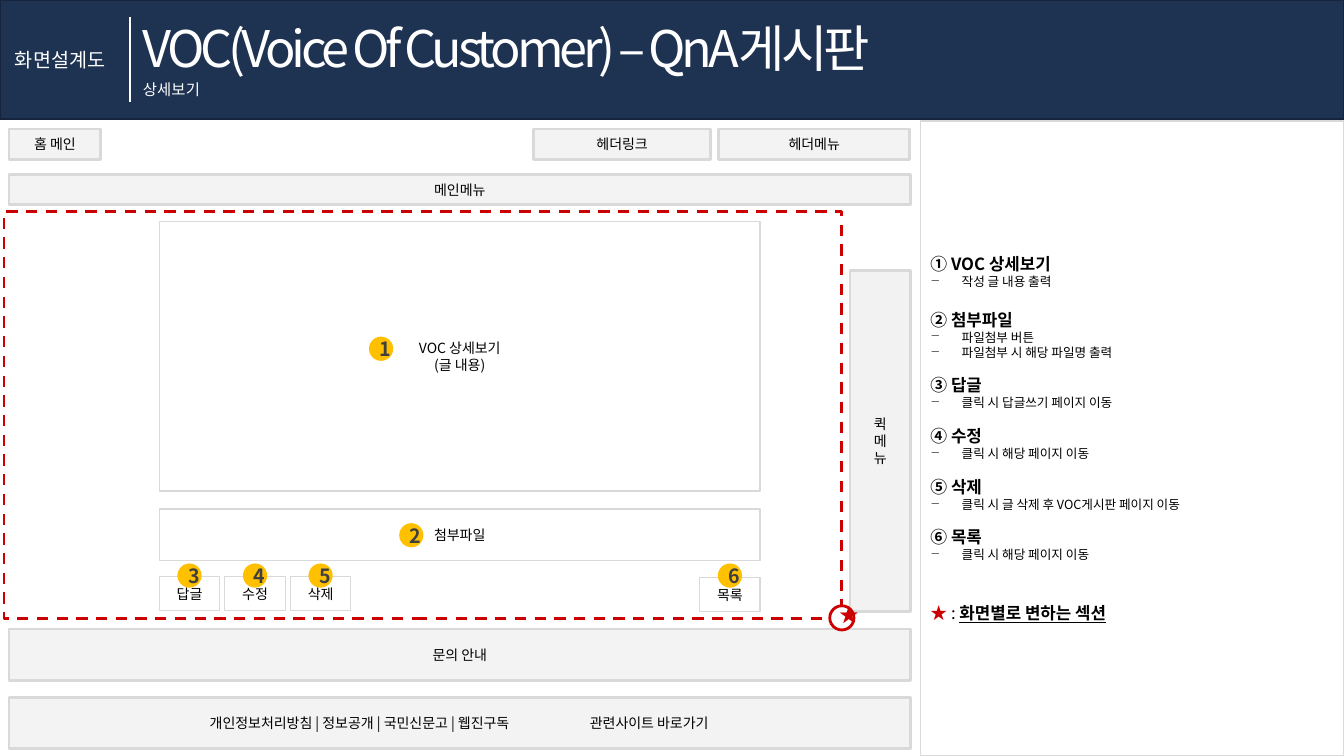
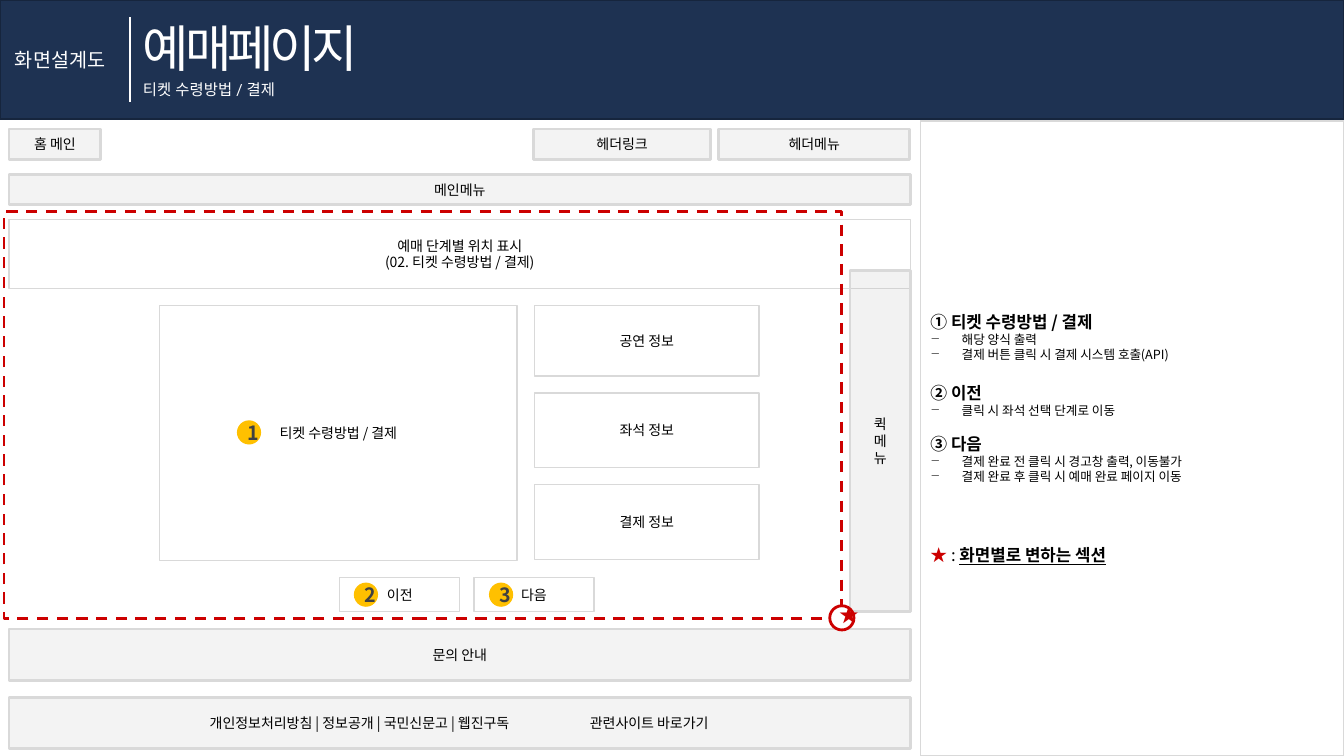
import pptx
import pptx.dml.color
import pptx.enum.dml
import pptx.enum.shapes
import pptx.enum.text
import pptx.oxml.ns
import pptx.util
from lxml import etree

Inches = pptx.util.Inches
Pt = pptx.util.Pt
SHAPES = pptx.enum.shapes.MSO_SHAPE
ALIGN = pptx.enum.text.PP_ALIGN
MIDDLE = pptx.enum.text.MSO_ANCHOR.MIDDLE

MAIN_FONT, SUBTITLE_FONT = "Noto Sans CJK KR", "Roboto"
NAVY, NAVY_EDGE, WHITE, BLACK = "1E3252", "16253D", "FFFFFF", "000000"
GREY, QUICK_GREY, RED, AMBER, DARK = "D9D9D9", "BFBFBF", "CC0000", "FFC000", "404040"
LINE_RATIO = 1.2
BULLET_INDENT = 0.31
BADGE = 0.24

BLOCK_LEFT, BLOCK_WIDTH = 1.58, 5.96
SIDE_LEFT, SIDE_WIDTH = 5.3, 2.23


def rgb(value):
    return pptx.dml.color.RGBColor.from_string(value)


def sub_element(parent, tag, **attributes):
    return etree.SubElement(parent, pptx.oxml.ns.qn(tag), **attributes)


def add_span(para, text, size, color=BLACK, font=MAIN_FONT, spacing=None, **formats):
    span = para.add_run()
    span.text = text
    for name, value in {"name": font, "size": Pt(size), **formats}.items():
        setattr(span.font, name, value)
    span.font.color.rgb = rgb(color)
    properties = span.font._element
    if spacing is not None:
        properties.set("spc", str(spacing * 100))
    sub_element(properties, "a:ea", typeface=font)


def next_para(frame, size, gap=0):
    """Start a paragraph with tight lines, reusing the empty first one."""
    first = frame.paragraphs[0]
    para = frame.add_paragraph() if first.runs else first
    para.line_spacing = Pt(round(size * LINE_RATIO, 1))
    if gap:
        para.space_before = Pt(gap)
    return para


def write(shape, text, size=10, align=ALIGN.CENTER, **formats):
    frame = shape.text_frame
    frame.word_wrap = True
    frame.vertical_anchor = MIDDLE
    lines = text.split("\n")
    for line in lines:
        para = next_para(frame, size) if len(lines) > 1 else frame.paragraphs[0]
        para.alignment = align
        add_span(para, line, size, **formats)


def add_text(page, text, left, top, width, height, **formats):
    box = page.shapes.add_textbox(*map(Inches, (left, top, width, height)))
    write(box, text, **formats)


def add_box(page, left, top, width, height, fill=WHITE, line=GREY, weight=1,
            opacity=None, kind=SHAPES.RECTANGLE):
    shape = page.shapes.add_shape(kind, *map(Inches, (left, top, width, height)))
    shape.shadow.inherit = False
    if fill:
        shape.fill.solid()
        shape.fill.fore_color.rgb = rgb(fill)
    else:
        shape.fill.background()
    if opacity:
        color = shape._element.spPr.find(".//" + pptx.oxml.ns.qn("a:srgbClr"))
        sub_element(color, "a:alpha", val=str(opacity * 1000))
    if line:
        shape.line.color.rgb = rgb(line)
        shape.line.width = Pt(weight)
    else:
        shape.line.fill.background()
    return shape


def add_block(page, text, *area):
    """White content block of the wireframe."""
    write(add_box(page, *area), text)


def add_bar(page, text, *area, fill=GREY, opacity=30):
    """Shaded block that belongs to the common site layout."""
    bar = add_box(page, *area, fill=fill, opacity=opacity, weight=2)
    if text:
        write(bar, text)
    return bar


def add_badge(page, number, left, top):
    badge = add_box(page, left, top, BADGE, BADGE, fill=AMBER, line=None,
                    kind=SHAPES.OVAL)
    write(badge, str(number), size=14, color=DARK, bold=True)


def add_header(page, title, subtitle):
    add_box(page, 0, 0, 13.33, 1.18, fill=NAVY, line=NAVY_EDGE)
    left = {"align": ALIGN.LEFT, "color": WHITE}
    add_text(page, title, 1.32, 0.11, 11, 0.71, size=36, spacing=-3, **left)
    add_text(page, "화면설계도", 0.05, 0.42, 1.18, 0.34, size=14, **left)
    add_text(page, subtitle, 1.32, 0.74, 5, 0.29, size=11, font=SUBTITLE_FONT, **left)
    divider = page.shapes.add_connector(
        pptx.enum.shapes.MSO_CONNECTOR.STRAIGHT,
        *map(Inches, (1.29, 0.17, 1.29, 1.01)))
    divider.line.color.rgb = rgb(WHITE)
    divider.line.width = Pt(1.5)
    sub_element(divider._element.spPr, "a:effectLst")


def add_site_footer(page):
    footer = add_bar(page, None, 0.09, 6.92, 8.94, 0.51)
    footer.text_frame.margin_left = Inches(1.99)
    para = footer.text_frame.paragraphs[0]
    tabs = sub_element(para._p.get_or_add_pPr(), "a:tabLst")
    sub_element(tabs, "a:tab", pos=str(Inches(3.77)), algn="l")
    write(footer, "개인정보처리방침 | 정보공개 | 국민신문고 | 웹진구독\t관련사이트 바로가기",
          align=ALIGN.LEFT)


def add_site_layout(page):
    for text, *area in (
        ("메인메뉴", 0.09, 1.73, 8.94, 0.3),
        ("홈 메인", 0.09, 1.28, 0.91, 0.3),
        ("헤더메뉴", 7.13, 1.28, 1.89, 0.3),
        ("헤더링크", 5.29, 1.28, 1.76, 0.3),
        ("문의 안내", 0.09, 6.24, 8.94, 0.51),
    ):
        add_bar(page, text, *area)
    add_site_footer(page)
    add_bar(page, "퀵\n메\n뉴", 8.43, 2.68, 0.6, 3.39, fill=QUICK_GREY, opacity=20)


def add_section_marker(page):
    """Dashed outline and star around the part that changes by screen."""
    outline = add_box(page, 0.04, 2.1, 8.31, 4.04, fill=None, line=RED, weight=2)
    outline.line.dash_style = pptx.enum.dml.MSO_LINE.DASH
    add_box(page, 8.23, 6.01, BADGE, BADGE, line=RED, weight=2, kind=SHAPES.OVAL)
    add_text(page, "★", 8.23, 5.93, BADGE, 0.34, size=14, color=RED)


def add_bullet(frame, text):
    para = next_para(frame, 9)
    properties = para._p.get_or_add_pPr()
    properties.set("marL", str(Inches(BULLET_INDENT)))
    properties.set("indent", str(-Inches(BULLET_INDENT)))
    sub_element(properties, "a:buChar", char="−")
    add_span(para, text, 9)


def add_notes_panel(page, notes, legend_gap):
    """notes: (gap above, heading, bullet lines) for each numbered part."""
    panel = add_box(page, 9.13, 1.2, 4.2, 6.3)
    frame = panel.text_frame
    frame.word_wrap = True
    frame.vertical_anchor = MIDDLE
    for gap, heading, bullets in notes:
        para = next_para(frame, 12, gap)
        add_span(para, heading, 12, bold=True)
        para.alignment = ALIGN.LEFT
        for text in bullets:
            add_bullet(frame, text)
    for para in frame.paragraphs:
        para.alignment = ALIGN.LEFT
    legend = next_para(frame, 12, legend_gap)
    legend.alignment = ALIGN.LEFT
    add_span(legend, "★ ", 12, color=RED, bold=True)
    add_span(legend, ": ", 12)
    add_span(legend, "화면별로 변하는 섹션", 12, bold=True, underline=True)


def build_page(deck, title, subtitle, blocks, badges, notes, legend_gap):
    page = deck.slides.add_slide(deck.slide_layouts[6])
    add_header(page, title, subtitle)
    for block in blocks:
        add_block(page, *block)
    add_site_layout(page)
    add_section_marker(page)
    add_notes_panel(page, notes, legend_gap)
    for number, (left, top) in enumerate(badges, 1):
        add_badge(page, number, left, top)


def build_voc_page(deck):
    button_lefts = [BLOCK_LEFT + 0.65 * index for index in range(3)]
    blocks = [
        ("VOC 상세보기\n(글 내용)", BLOCK_LEFT, 2.2, BLOCK_WIDTH, 2.67),
        ("첨부파일", BLOCK_LEFT, 5.05, BLOCK_WIDTH, 0.51),
        ("목록", 6.94, 5.73, 0.6, 0.34),
    ]
    blocks += [(text, left, 5.72, 0.6, 0.34)
               for text, left in zip(("답글", "수정", "삭제"), button_lefts)]
    badges = [(3.66, 3.34), (3.96, 5.19)]
    badges += [(left + 0.18, 5.59) for left in button_lefts + [6.94]]
    notes = [
        (0, "① VOC 상세보기", ["작성 글 내용 출력"]),
        (14.5, "② 첨부파일", ["파일첨부 버튼", "파일첨부 시 해당 파일명 출력"]),
        (11, "③ 답글", ["클릭 시 답글쓰기 페이지 이동"]),
        (11, "④ 수정", ["클릭 시 해당 페이지 이동"]),
        (11, "⑤ 삭제", ["클릭 시 글 삭제 후 VOC게시판 페이지 이동"]),
        (11, "⑥ 목록", ["클릭 시 해당 페이지 이동"]),
    ]
    build_page(deck, "VOC(Voice Of Customer) – QnA게시판", "상세보기",
               blocks, badges, notes, legend_gap=29)


def build_booking_page(deck):
    blocks = [
        ("예매 단계별 위치 표시\n(02. 티켓 수령방법 / 결제)", 0.09, 2.18, 8.94, 0.68),
        ("티켓 수령방법 / 결제", BLOCK_LEFT, 3.03, 3.55, 2.53),
        ("공연 정보", SIDE_LEFT, 3.03, SIDE_WIDTH, 0.7),
        ("좌석 정보", SIDE_LEFT, 3.9, SIDE_WIDTH, 0.74),
        ("결제 정보", SIDE_LEFT, 4.81, SIDE_WIDTH, 0.74),
        ("이전", 3.37, 5.73, 1.19, 0.34),
        ("다음", 4.7, 5.73, 1.19, 0.34),
    ]
    badges = [(2.35, 4.17), (3.51, 5.78), (4.85, 5.78)]
    notes = [
        (0, "① 티켓 수령방법 / 결제",
         ["해당 양식 출력", "결제 버튼 클릭 시 결제 시스템 호출(API)"]),
        (14.5, "② 이전", ["클릭 시 좌석 선택 단계로 이동"]),
        (11, "③ 다음", ["결제 완료 전 클릭 시 경고창 출력, 이동불가",
                      "결제 완료 후 클릭 시 예매 완료 페이지 이동"]),
    ]
    build_page(deck, "예매페이지", "티켓 수령방법 / 결제",
               blocks, badges, notes, legend_gap=43.5)


def main():
    deck = pptx.Presentation()
    deck.slide_width, deck.slide_height = Inches(13.33), Inches(7.5)
    build_voc_page(deck)
    build_booking_page(deck)
    deck.save("out.pptx")


if __name__ == "__main__":
    main()
